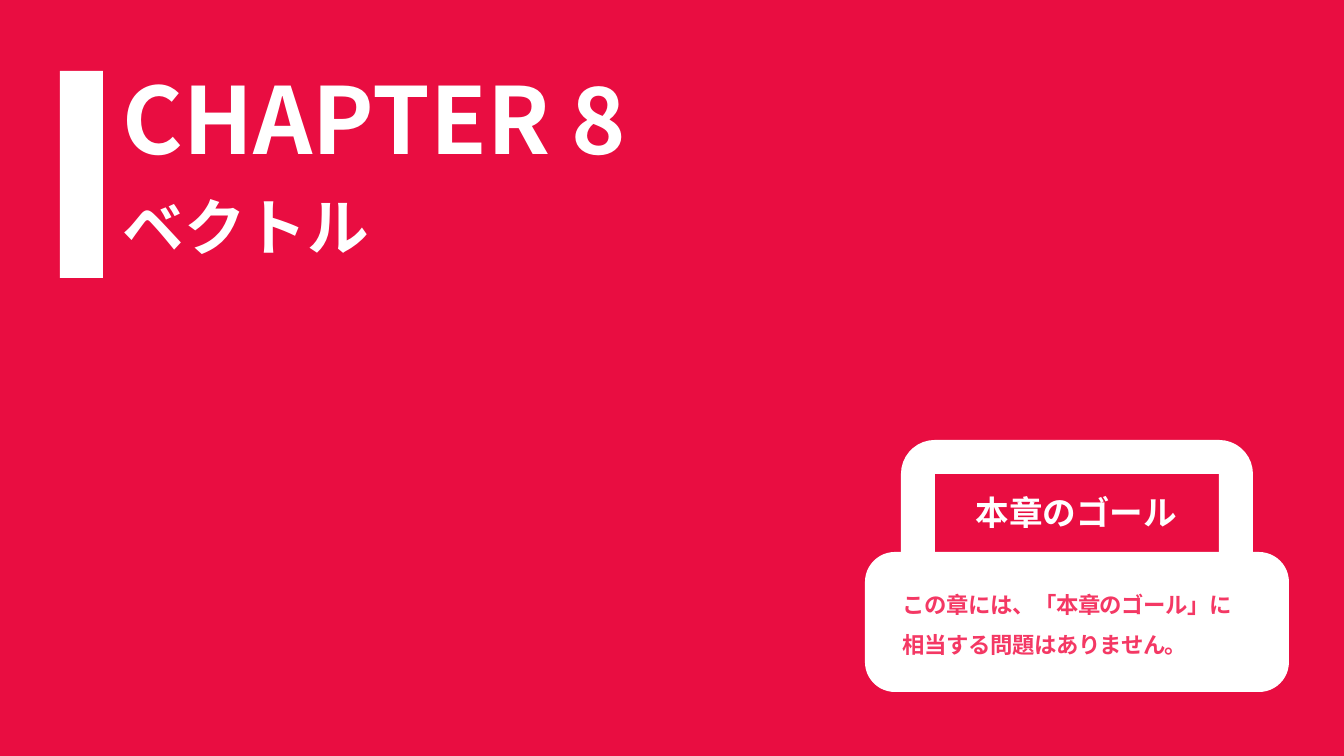
import math
from dataclasses import dataclass

import pptx
import pptx.dml.color
import pptx.enum.shapes
import pptx.enum.text
import pptx.oxml.ns
import pptx.util
from lxml import etree


@dataclass(frozen=True)
class Theme:
    red: str = "E90D41"
    white: str = "FFFFFF"
    pink: str = "F43864"
    font: str = "Noto Sans CJK JP"
    chapter_size: int = 66
    subject_size: int = 44
    heading_size: int = 24
    body_size: int = 16


THEME = Theme()
EMU_PER_PX = 914400 / 100.8


def px(length):
    return pptx.util.Emu(round(length * EMU_PER_PX))


def paint(fill, color):
    fill.solid()
    fill.fore_color.rgb = pptx.dml.color.RGBColor.from_string(color)


def style_shape(shape, color):
    paint(shape.fill, color)
    shape.line.fill.background()
    shape.shadow.inherit = False


def add_block(slide, kind, left, top, width, height):
    shape = slide.shapes.add_shape(kind, px(left), px(top), px(width), px(height))
    style_shape(shape, THEME.white)
    return shape


def add_handle(slide, left, top, right, bottom, thickness):
    """Draw an arch with rounded outer corners and a square opening."""
    def corner(center_x, start):
        angles = [math.radians(start + step) for step in range(0, 91, 10)]
        return [(center_x + thickness * math.cos(angle),
                 top + thickness - thickness * math.sin(angle)) for angle in angles]

    inner_left, inner_right = left + thickness, right - thickness
    outer = corner(inner_right, 0) + corner(inner_left, 90)
    opening = [(left, bottom), (inner_left, bottom), (inner_left, top + thickness),
               (inner_right, top + thickness), (inner_right, bottom)]
    builder = slide.shapes.build_freeform(px(right), px(bottom), scale=1.0)
    builder.add_line_segments([(px(x), px(y)) for x, y in outer + opening], close=True)
    style_shape(builder.convert_to_shape(), THEME.white)


def format_text(shape, text, color, sizes, spaces_before, tracking, top_inset):
    """Fill a shape with bold lines, each with its own size and spacing."""
    frame = shape.text_frame
    frame.text = text
    frame.word_wrap = True
    frame.auto_size = pptx.enum.text.MSO_AUTO_SIZE.SHAPE_TO_FIT_TEXT
    frame.vertical_anchor = pptx.enum.text.MSO_ANCHOR.TOP
    frame.margin_left = frame.margin_right = frame.margin_bottom = 0
    frame.margin_top = px(top_inset)
    for paragraph, size, space, spacing in zip(frame.paragraphs, sizes, spaces_before, tracking):
        paragraph.alignment = pptx.enum.text.PP_ALIGN.LEFT
        paragraph.line_spacing = 1.0
        paragraph.space_before = pptx.util.Pt(space)
        paragraph._p.get_or_add_pPr().set("marL", str(px(1)))
        for run in paragraph.runs:
            run.font.name = THEME.font
            run.font.size = pptx.util.Pt(size)
            run.font.bold = True
            run.font.color.rgb = pptx.dml.color.RGBColor.from_string(color)
            properties = run.font._element
            properties.set("spc", str(spacing))
            east_asian = etree.Element(pptx.oxml.ns.qn("a:ea"), typeface=THEME.font)
            properties.find(pptx.oxml.ns.qn("a:latin")).addnext(east_asian)


def add_title(slide, left, top, width, height):
    title = slide.shapes.title
    title.left, title.top, title.width, title.height = map(px, (left, top, width, height))
    format_text(title, "CHAPTER 8\nベクトル", THEME.white,
                (THEME.chapter_size, THEME.subject_size), (18.1, 11.5), (0, -10), 25)


def add_label(slide, left, top, width, height, text, **formatting):
    label = slide.shapes.add_textbox(px(left), px(top), px(width), px(height))
    format_text(label, text, **formatting)


def main():
    presentation = pptx.Presentation()
    presentation.slide_width, presentation.slide_height = px(1344), px(756)
    slide = presentation.slides.add_slide(presentation.slide_layouts[5])
    paint(slide.background.fill, THEME.red)

    # Chapter title with its marker bar
    add_title(slide, 122, 37, 556, 228)
    add_block(slide, pptx.enum.shapes.MSO_SHAPE.RECTANGLE, 60, 71, 43, 207)

    # Goal card: panel, then the handle above it
    panel = add_block(slide, pptx.enum.shapes.MSO_SHAPE.ROUNDED_RECTANGLE, 865, 552, 424, 140)
    panel.adjustments[0] = 30 / 140
    add_handle(slide, 901, 440, 1253, 552, 34)

    # Goal card texts
    add_label(slide, 975, 491, 205, 43, "本章のゴール", color=THEME.white,
              sizes=(THEME.heading_size,), spaces_before=(1,), tracking=(-10,), top_inset=1)
    add_label(slide, 902, 576, 338, 84,
              "この章には、「本章のゴール」に\n相当する問題はありません。", color=THEME.pink,
              sizes=(THEME.body_size,) * 2, spaces_before=(10.7, 9.7),
              tracking=(-30, -30), top_inset=15)

    presentation.save("out.pptx")


if __name__ == "__main__":
    main()
